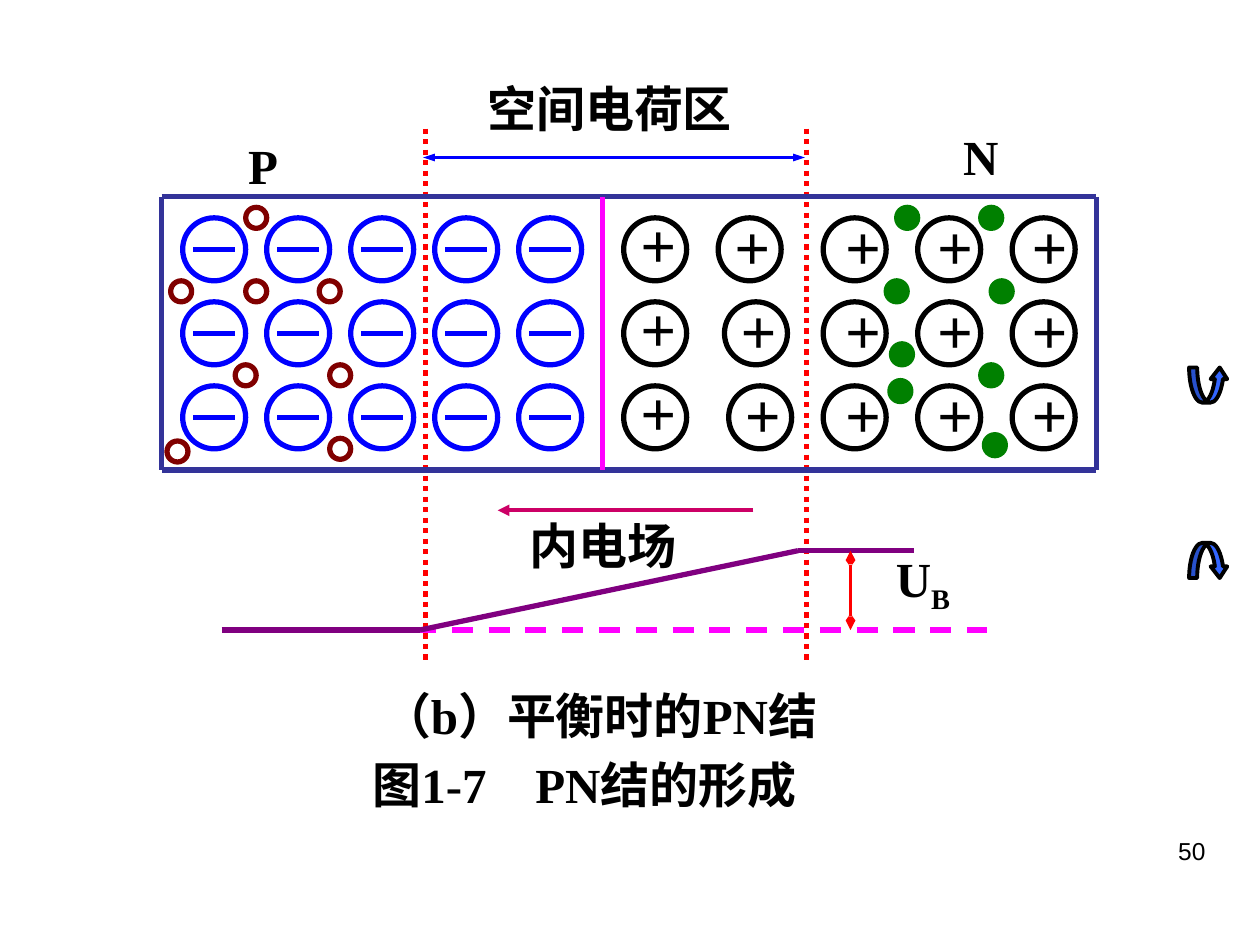
import dataclasses

import pptx
import pptx.dml.color
import pptx.enum.dml
import pptx.enum.shapes
import pptx.enum.text
import pptx.oxml.ns
import pptx.util
from lxml import etree

SHAPE = pptx.enum.shapes.MSO_SHAPE
DASH = pptx.enum.dml.MSO_LINE
ALIGN = pptx.enum.text.PP_ALIGN
ANCHOR = pptx.enum.text.MSO_ANCHOR
FIT = pptx.enum.text.MSO_AUTO_SIZE


@dataclasses.dataclass(frozen=True)
class Theme:
    """Colours, fonts and sizes of the slide, with the grid unit in inches."""
    unit: float = 1 / 12
    black: str = "000000"
    acceptor: str = "0000FF"
    hole: str = "800000"
    electron: str = "008000"
    frame: str = "333399"
    junction: str = "FF00FF"
    limit: str = "FF0000"
    potential: str = "800080"
    field: str = "CC0066"
    button: str = "3366FF"
    serif: str = "Times New Roman"
    sans: str = "Arial"
    label: int = 28
    sign: int = 36
    number: int = 14
    thick: float = 3
    thin: float = 2.25


THEME = Theme()
ROWS = [20.75 + 8 * row for row in range(3)]
ACCEPTOR_COLUMNS = [17.4 + 8 * column for column in range(5)]
DONOR_COLUMNS = [
    ((59.4, 59.4, 59.4), -0.7, -1.8),
    ((68.4, 69, 69.4), -0.75, -1.55),
    ((78.4, 78.4, 78.4), -0.2, -1.55),
    ((87.4, 87.4, 87.4), -0.45, -1.55),
    ((96.4, 96.4, 96.4), -0.45, -1.55),
]
HOLES = [(30.4, 26.75), (15.9, 42), (23.4, 19.75), (16.25, 26.75),
         (31.4, 41.75), (23.4, 26.75), (22.4, 34.75), (31.4, 34.75)]
ELECTRONS = [(94.4, 26.75), (84.4, 26.75), (84.9, 32.75), (85.4, 19.75),
             (93.4, 34.75), (93.75, 41.4), (84.75, 36.25), (93.4, 19.75)]
LEFT, TOP, RIGHT, BOTTOM = 15.4, 18.75, 104.4, 44.75
JUNCTION = 57.4
LIMITS = (40.5, 76.8)
LOW, HIGH = 60, 52.45


def grid(*values):
    """Turn grid units into slide lengths."""
    return [pptx.util.Inches(value * THEME.unit) for value in values]


def rgb(colour):
    """Turn a hex string into a colour."""
    return pptx.dml.color.RGBColor.from_string(colour)


def add_line(page, start, end, colour, width=THEME.thick, dash=None, **ends):
    """Draw a line; ends maps headEnd or tailEnd to an arrow type and width."""
    line = page.shapes.add_connector(
        pptx.enum.shapes.MSO_CONNECTOR.STRAIGHT, *grid(*start, *end))
    line.line.color.rgb = rgb(colour)
    line.line.width = pptx.util.Pt(width)
    if dash is not None:
        line.line.dash_style = dash
    outline = line.line._get_or_add_ln()
    for end_name in ("headEnd", "tailEnd"):
        if end_name in ends:
            kind, size = ends[end_name]
            etree.SubElement(outline, pptx.oxml.ns.qn("a:" + end_name),
                             type=kind, w=size, len="med")
    etree.SubElement(line._element.spPr, pptx.oxml.ns.qn("a:effectLst"))
    return line


def add_outline(page, kind, place, colour, fill=None, width=THEME.thick):
    """Draw a preset shape with an outline and an optional fill."""
    shape = page.shapes.add_shape(kind, *grid(*place))
    shape.shadow.inherit = False
    shape.line.color.rgb = rgb(colour)
    shape.line.width = pptx.util.Pt(width)
    if fill:
        shape.fill.solid()
        shape.fill.fore_color.rgb = rgb(fill)
    else:
        shape.fill.background()
    return shape


def add_text(page, place, text, size=THEME.label, font=THEME.serif, bold=True,
             align=ALIGN.CENTER, anchor=ANCHOR.MIDDLE, wrap=False):
    """Write one paragraph and return it."""
    box = page.shapes.add_textbox(*grid(*place))
    frame = box.text_frame
    frame.word_wrap = wrap
    frame.auto_size = FIT.NONE if wrap else FIT.SHAPE_TO_FIT_TEXT
    frame.vertical_anchor = anchor
    para = frame.paragraphs[0]
    para.text = text
    para.alignment = align
    for span in para.runs:
        style_span(span, size, font, bold)
    return para


def style_span(span, size=THEME.label, font=THEME.serif, bold=True):
    """Set the type of one run."""
    span.font.size = pptx.util.Pt(size)
    span.font.name = font
    span.font.bold = bold
    span.font.color.rgb = rgb(THEME.black)


def add_tab_stop(para, position):
    """Give a paragraph a left tab stop."""
    stops = etree.SubElement(para._p.get_or_add_pPr(), pptx.oxml.ns.qn("a:tabLst"))
    etree.SubElement(stops, pptx.oxml.ns.qn("a:tab"),
                     pos=str(grid(position)[0]), algn="l")


def add_acceptor(page, left, top):
    """Draw a negative ion."""
    add_outline(page, SHAPE.OVAL, (left, top, 6, 6), THEME.acceptor)
    add_line(page, (left + 1, top + 3), (left + 5, top + 3), THEME.acceptor)


def add_donor(page, left, top, shift, lift):
    """Draw a positive ion."""
    add_outline(page, SHAPE.OVAL, (left, top, 6, 6), THEME.black)
    add_text(page, (left + shift, top + lift, 8, 8.4), "+", THEME.sign,
             anchor=ANCHOR.TOP, wrap=True)


def add_carriers(page, places, colour, fill=None):
    """Draw the free holes or electrons."""
    for left, top in places:
        add_outline(page, SHAPE.OVAL, (left, top, 2, 2), colour, fill)


def add_buttons(page):
    """Draw the two curved arrows at the right edge."""
    for kind, top in ((SHAPE.CURVED_DOWN_ARROW, 51.7), (SHAPE.CURVED_UP_ARROW, 35)):
        arrow = add_outline(page, kind, (113.25, top, 3.7, 3.35),
                            THEME.black, THEME.button, THEME.thin)
        for index, share in enumerate((0.23, 0.47, 0.33)):
            arrow.adjustments[index] = share


def add_labels(page):
    """Write the labels, the captions and the page number."""
    add_text(page, (86, 79, 30, 6.2), "50", THEME.number, THEME.sans, False,
             ALIGN.RIGHT, ANCHOR.TOP, True)
    add_text(page, (22.4, 12.35, 5.3, 6.8), "P")
    add_text(page, (90.5, 11.4, 5.8, 6.8), "N")
    add_text(page, (44.2, 6.85, 27.7, 6.8), "空间电荷区")
    add_text(page, (48.25, 48.5, 18.3, 6.8), "内电场")
    barrier = add_text(page, (84.1, 51.6, 7.6, 7.6), "U")
    subscript = barrier.add_run()
    subscript.text = "B"
    style_span(subscript)
    subscript._r.get_or_add_rPr().set("baseline", "-25000")
    add_text(page, (32, 64.7, 50.2, 6.8), "（b）平衡时的PN结")
    caption = add_text(page, (34.3, 71.3, 47.8, 6.8), "图1-7\tPN结的形成",
                       align=ALIGN.LEFT, wrap=True)
    add_tab_stop(caption, 15.5)


def add_potential(page):
    """Draw the limits of the charge region and the potential curve."""
    for limit in LIMITS:
        add_line(page, (limit, 12.25), (limit, 62.9), THEME.limit, dash=DASH.ROUND_DOT)
    add_line(page, (22, LOW), (94, LOW), THEME.junction, dash=DASH.DASH)
    curve = [(21.1, LOW), (40, LOW), (76, HIGH), (87, HIGH)]
    for start, end in zip(curve, curve[1:]):
        add_line(page, start, end, THEME.potential)
    add_line(page, (81, HIGH), (81, LOW), THEME.limit, THEME.thin,
             headEnd=("arrow", "sm"), tailEnd=("arrow", "sm"))


def add_frame(page):
    """Draw the border of the crystal and its junction."""
    for height in (TOP, BOTTOM):
        add_line(page, (LEFT, height), (RIGHT, height), THEME.frame)
    for side, colour in ((LEFT, THEME.frame), (RIGHT, THEME.frame),
                         (JUNCTION, THEME.junction)):
        add_line(page, (side, TOP), (side, BOTTOM), colour)


def main():
    """Build the slide of the PN junction in balance."""
    deck = pptx.Presentation()
    deck.slide_width, deck.slide_height = grid(120, 90)
    page = deck.slides.add_slide(deck.slide_layouts[6])
    add_buttons(page)
    add_potential(page)
    add_labels(page)
    for lefts, shift, lift in DONOR_COLUMNS:
        for left, top in zip(lefts, ROWS):
            add_donor(page, left, top, shift, lift)
    for left in ACCEPTOR_COLUMNS:
        for top in ROWS:
            add_acceptor(page, left, top)
    add_frame(page)
    add_carriers(page, HOLES, THEME.hole)
    add_carriers(page, ELECTRONS, THEME.electron, THEME.electron)
    add_line(page, (71.75, 48.6), (47.4, 48.6), THEME.field, THEME.thin,
             tailEnd=("triangle", "med"))
    add_line(page, (40.3, 15), (76.65, 15), THEME.acceptor, THEME.thin,
             headEnd=("triangle", "sm"), tailEnd=("triangle", "sm"))
    deck.save("out.pptx")


if __name__ == "__main__":
    main()
